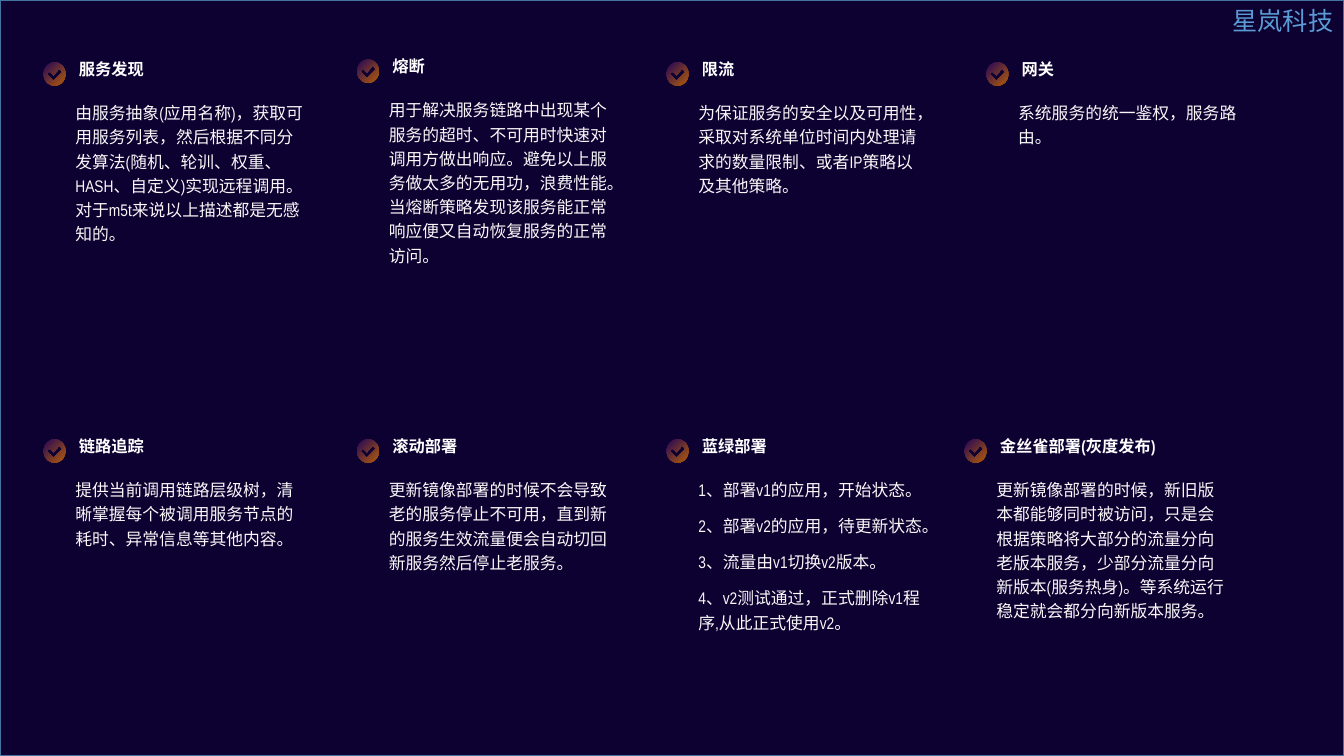
from math import cos, pi, sin

from pptx import Presentation
from pptx.dml.color import RGBColor
from pptx.enum.shapes import MSO_SHAPE as Shape
from pptx.enum.text import MSO_ANCHOR as Anchor, MSO_AUTO_SIZE as AutoSize
from pptx.util import Cm, Pt

SLIDE_WIDTH, SLIDE_HEIGHT = 33.87, 19.05
TOP_ROW, BOTTOM_ROW = 1.57, 11.07
COLUMNS = (1.1, 9.0, 16.8)

# Badge outline in thousandths of a centimetre
BADGE_WIDTH, BADGE_HEIGHT = 550, 590
TICK = [(450, 220), (420, 180), (380, 180), (250, 330), (160, 250), (120, 250),
        (100, 290), (100, 310), (230, 450), (260, 450), (460, 250)]

# Left, top, text height, heading, paragraphs
TOPICS = [
    (COLUMNS[0], TOP_ROW, 3.94, "服务发现",
     ["由服务抽象(应用名称)，获取可用服务列表，然后根据不同分发算法(随机、轮训、权重、HASH、自定义)"
      "实现远程调用。对于m5t来说以上描述都是无感知的。"]),
    (COLUMNS[1], 1.5, 4.55, "熔断",
     ["用于解决服务链路中出现某个服务的超时、不可用时快速对调用方做出响应。避免以上服务做太多的无用功，"
      "浪费性能。当熔断策略发现该服务能正常响应便又自动恢复服务的正常访问。"]),
    (COLUMNS[2], TOP_ROW, 2.72, "限流",
     ["为保证服务的安全以及可用性，采取对系统单位时间内处理请求的数量限制、或者IP策略以及其他策略。"]),
    (24.86, TOP_ROW, 1.47, "网关", ["系统服务的统一鉴权，服务路由。"]),
    (COLUMNS[0], BOTTOM_ROW, 2.1, "链路追踪",
     ["提供当前调用链路层级树，清晰掌握每个被调用服务节点的耗时、异常信息等其他内容。"]),
    (COLUMNS[1], BOTTOM_ROW, 2.72, "滚动部署",
     ["更新镜像部署的时候不会导致老的服务停止不可用，直到新的服务生效流量便会自动切回新服务然后停止老服务。"]),
    (COLUMNS[2], BOTTOM_ROW, 4.24, "蓝绿部署",
     ["1、部署v1的应用，开始状态。",
      "2、部署v2的应用，待更新状态。",
      "3、流量由v1切换v2版本。",
      "4、v2测试通过，正式删除v1程序,从此正式使用v2。"]),
    (24.31, BOTTOM_ROW, 3.94, "金丝雀部署(灰度发布)",
     ["更新镜像部署的时候，新旧版本都能够同时被访问，只是会根据策略将大部分的流量分向老版本服务，"
      "少部分流量分向新版本(服务热身)。等系统运行稳定就会都分向新版本服务。"]),
]


def color(hex_value):
    return RGBColor.from_string(hex_value)


class TopicSlide:
    font_name = "Arial Narrow"
    navy, edge, brand_blue = "0D0131", "43739E", "5B9BD5"
    white, soft_white = "FFFFFF", "F8F8F8"
    badge_colors = ("260659", "B15D0A")

    def __init__(self, slide):
        self.shapes = slide.shapes

    def backdrop(self):
        panel = self.shapes.add_shape(Shape.RECTANGLE, 0, 0, Cm(SLIDE_WIDTH), Cm(SLIDE_HEIGHT))
        panel.shadow.inherit = False
        panel.fill.solid()
        panel.fill.fore_color.rgb = color(self.navy)
        panel.line.color.rgb = color(self.edge)
        panel.line.width = Pt(1)

    def badge(self, left, top):
        """Draw a gradient disc with a tick cut out of it."""
        rx, ry = BADGE_WIDTH / 2, BADGE_HEIGHT / 2
        angles = [2 * pi * step / 48 for step in range(48)]
        rim = [(rx + rx * cos(a), ry + ry * sin(a)) for a in angles]
        outline = self.shapes.build_freeform(*rim[0], scale=Cm(0.001))
        outline.add_line_segments(rim[1:], close=True)
        outline.move_to(*TICK[0])
        outline.add_line_segments(TICK[1:], close=True)
        disc = outline.convert_to_shape(Cm(left), Cm(top))
        disc.shadow.inherit = False
        disc.line.fill.background()
        disc.fill.gradient()
        disc.fill.gradient_angle = 315
        for stop, shade, position in zip(disc.fill.gradient_stops, self.badge_colors, (0, 1)):
            stop.color.rgb = color(shade)
            stop.position = position

    def text_box(self, left, top, width, height, wrap):
        box = self.shapes.add_textbox(Cm(left), Cm(top), Cm(width), Cm(height))
        frame = box.text_frame
        frame.word_wrap = wrap
        frame.auto_size = AutoSize.SHAPE_TO_FIT_TEXT
        return frame

    def run(self, paragraph, words, size, hex_value, bold=False):
        run = paragraph.add_run()
        run.text = words
        run.font.name = self.font_name
        run.font.size = Pt(size)
        run.font.bold = bold
        run.font.color.rgb = color(hex_value)
        return run

    def heading(self, left, top, words):
        """Add a one-line raised heading in a box fitted to its characters."""
        units = sum(0.4 if char in "()" else 1 for char in words)
        frame = self.text_box(left, top, 0.5 + 0.46 * units, 0.81, wrap=False)
        frame.vertical_anchor = Anchor.MIDDLE
        run = self.run(frame.paragraphs[0], words, 20, self.white, bold=True)
        run.font._element.set("baseline", "30000")

    def body(self, left, top, height, paragraphs):
        frame = self.text_box(left, top, 6.32, height, wrap=True)
        for index, words in enumerate(paragraphs):
            paragraph = frame.add_paragraph() if index else frame.paragraphs[0]
            paragraph.line_spacing = 1.2
            paragraph.space_before = Pt(8.5)
            self.run(paragraph, words, 12, self.soft_white)

    def topic(self, left, top, height, heading, paragraphs):
        self.badge(left, top)
        self.body(left + 0.55, top + 0.8, height, paragraphs)
        self.heading(left + 0.64, top - 0.15, heading)

    def company(self, words):
        frame = self.text_box(30.81, 0, 3.05, 1.02, wrap=False)
        self.run(frame.paragraphs[0], words, 18, self.brand_blue)


def main():
    deck = Presentation()
    deck.slide_width, deck.slide_height = Cm(SLIDE_WIDTH), Cm(SLIDE_HEIGHT)
    page = TopicSlide(deck.slides.add_slide(deck.slide_layouts[6]))
    page.backdrop()
    for topic in TOPICS:
        page.topic(*topic)
    page.company("星岚科技")
    deck.save("out.pptx")


if __name__ == "__main__":
    main()
